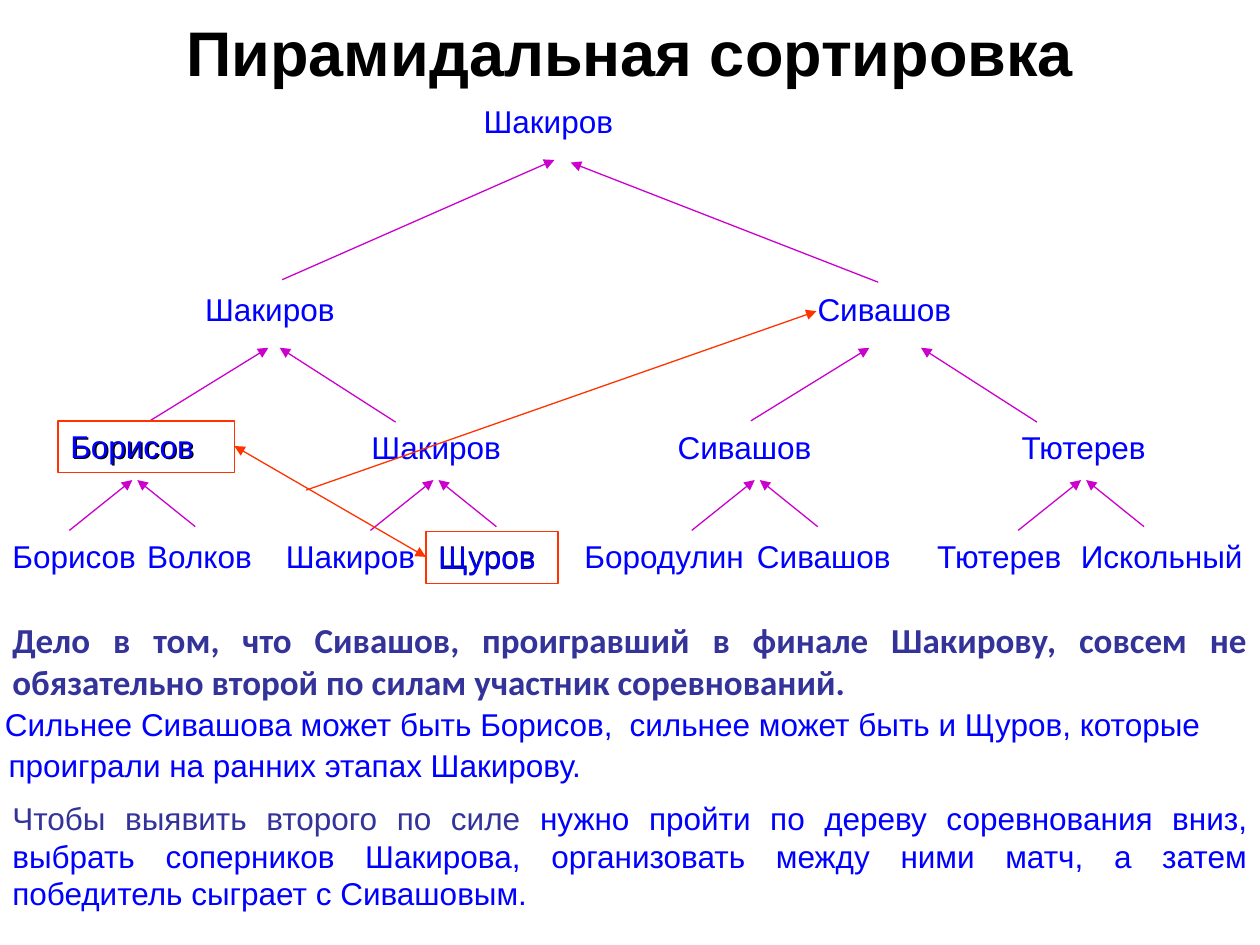
from lxml import etree
from pptx import Presentation
from pptx.dml.color import RGBColor
from pptx.enum.shapes import MSO_CONNECTOR as CONN, MSO_SHAPE as SHAPE
from pptx.enum.text import MSO_ANCHOR as ANCHOR, PP_ALIGN as ALIGN
from pptx.oxml.ns import qn
from pptx.util import Inches, Pt

BLACK = RGBColor(0x00, 0x00, 0x00)
BLUE = RGBColor(0x00, 0x00, 0xFF)
INDIGO = RGBColor(0x33, 0x33, 0x99)
PURPLE = RGBColor(0xCC, 0x00, 0xCC)
RED = RGBColor(0xFF, 0x33, 0x00)

COLS, ROWS = 1000, 750
LINE = 40
LEVELS = (0, 149, 259, 345)

prs = Presentation()
prs.slide_width, prs.slide_height = Inches(10), Inches(7.5)


def grid(col, row):
    return round(prs.slide_width * col / COLS), round(prs.slide_height * row / ROWS)


def write(s, box, at, runs, framed=False, align=ALIGN.JUSTIFY, **formats):
    left, top, width, height = at
    place = *grid(box[0] + left, box[1] + top), *grid(width, height)
    if framed:
        sp = s.shapes.add_shape(SHAPE.RECTANGLE, *place)
        sp.shadow.inherit = False
        sp.fill.background()
        sp.line.color.rgb = RED
        sp.line.width = Pt(0.75)
    else:
        sp = s.shapes.add_textbox(*place)
    tf = sp.text_frame
    tf.word_wrap = True
    tf.vertical_anchor = ANCHOR.TOP
    p = tf.paragraphs[0]
    p.alignment = align
    for text, color in runs:
        r = p.add_run()
        r.text = text
        for key, value in {"name": "Arial", "size": Pt(18), **formats}.items():
            setattr(r.font, key, value)
        r.font.color.rgb = color


def arrow(s, box, start, end, color, ends=("tailEnd",)):
    points = [grid(box[0] + x, box[1] + y) for x, y in (start, end)]
    line = s.shapes.add_connector(CONN.STRAIGHT, *points[0], *points[1])
    line.line.color.rgb = color
    line.line.width = Pt(0.75)
    ln = line.line._get_or_add_ln()
    for end_tag in ends:
        etree.SubElement(ln, qn(f"a:{end_tag}"), type="triangle")
    etree.SubElement(line._element.spPr, qn("a:effectLst"))


def title(s, box):
    write(s, box, (0, 0, *box[2:]), [("Пирамидальная сортировка", BLACK)],
          align=ALIGN.CENTER, size=Pt(36), bold=True)


def bracket(s, box):
    rounds = (
        [("Шакиров", 374, 127)],
        [("Шакиров", 153, 127), ("Сивашов", 639, 136)],
        [("Борисов", 47, 119), ("Шакиров", 285, 127),
         ("Сивашов", 528, 136), ("Тютерев", 801, 124)],
        [("Борисов", 0, 119), ("Волков", 107, 119), ("Шакиров", 217, 127),
         ("Щуров", 338, 105), ("Бородулин", 454, 152), ("Сивашов", 591, 136),
         ("Тютерев", 734, 124), ("Искольный", 848, 152)],
    )
    beaten = {(2, 47), (3, 338)}
    for level, players in enumerate(rounds):
        for name, left, width in players:
            color = BLACK if (level, left) in beaten else BLUE
            write(s, box, (left, LEVELS[level], width, LINE), [(name, color)])

    matches = [(left, 100, 50, 46, 345, 342, 305, 305) for left in (55, 294, 549, 808)]
    matches += [(left, span, 94, 92, 258, 259, 200, 200)
                for left, span in ((119, 195), (596, 227))]
    matches.append((224, 473, 216, 244, 146, 148, 51, 53))
    for left, span, run_l, run_r, foot_l, foot_r, tip_l, tip_r in matches:
        right = left + span
        arrow(s, box, (left, foot_l), (left + run_l, tip_l), PURPLE)
        arrow(s, box, (right, foot_r), (right - run_r, tip_r), PURPLE)

    for name, left, top, width in (("Щуров", 338, 346, 105), ("Борисов", 46, 258, 140)):
        write(s, box, (left, top, width, LINE + 1), [(name, BLUE)], framed=True)
    arrow(s, box, (186, 278), (338, 366), RED, ("headEnd", "tailEnd"))
    arrow(s, box, (243, 313), (648, 171), RED)


def commentary(s, box):
    write(s, box, (0, 0, box[2], 77),
          [("Дело в том, что Сивашов, проигравший в финале Шакирову, совсем не "
            "обязательно второй по силам участник соревнований. ", INDIGO)],
          name="Calibri", size=Pt(20), bold=True)
    for left, top, width, text in (
        (-6, 69, 517, "Сильнее Сивашова может быть Борисов, "),
        (483, 69, 517, " сильнее может быть и Щуров, которые "),
        (-3, 101, 660, "проиграли на ранних этапах Шакирову."),
    ):
        write(s, box, (left, top, width, LINE), [(text, BLUE)])
    write(s, box, (0, 143, box[2], 100),
          [("Чтобы выявить второго по силе ", INDIGO),
           ("нужно пройти по дереву соревнования вниз, выбрать соперников Шакирова, "
            "организовать между ними матч, а затем победитель сыграет с Сивашовым. ",
            BLUE)])


slide = prs.slides.add_slide(prs.slide_layouts[6])
title(slide, (75, 6, 850, 125))
bracket(slide, (0, 76, COLS, 387))
commentary(slide, (0, 486, COLS, 243))
prs.save("out.pptx")
